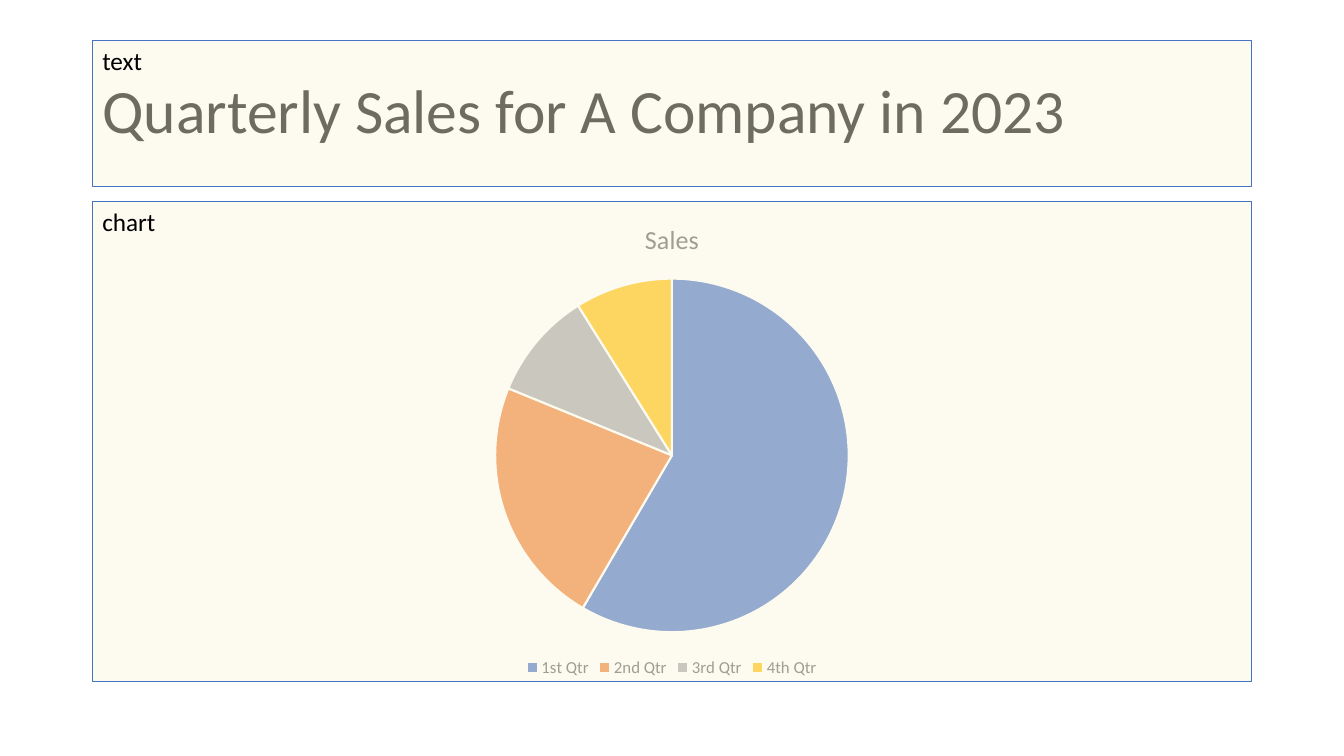
import pptx
import pptx.util
import pptx.chart.data
import pptx.dml.color
import pptx.enum.chart
import pptx.enum.shapes
import pptx.enum.text
from lxml import etree

Pt = pptx.util.Pt
FONT = "Calibri"
TITLE_BOX = (66, 28.8, 828, 104.4)
CHART_BOX = (66, 144, 828, 342.72)
SALES = {"1st Qtr": 59, "2nd Qtr": 23, "3rd Qtr": 10, "4th Qtr": 9}
SLICE_COLORS = ("4472C4", "ED7D31", "A5A5A5", "FFC000")


def rgb(value):
    """Turn a hex string into a colour."""
    return pptx.dml.color.RGBColor.from_string(value)


def set_font(font, size, color="000000"):
    """Format a font."""
    font.name, font.size, font.bold = FONT, Pt(size), False
    font.color.rgb = rgb(color)


def write(tf, text, size=18, color="000000", anchor="TOP", spacing=1.0):
    """Write one left-aligned paragraph into a text frame."""
    tf.word_wrap = True
    tf.auto_size = pptx.enum.text.MSO_AUTO_SIZE.NONE
    tf.vertical_anchor = pptx.enum.text.MSO_ANCHOR[anchor]
    p = tf.paragraphs[0]
    p.alignment = pptx.enum.text.PP_ALIGN.LEFT
    p.line_spacing = spacing
    r = p.add_run()
    r.text = text
    set_font(r.font, size, color)


def add_overlay(s, box, label):
    """Cover a box with a translucent, labelled panel."""
    sp = s.shapes.add_shape(pptx.enum.shapes.MSO_SHAPE.RECTANGLE, *map(Pt, box))
    sp.shadow.inherit = False
    sp.fill.solid()
    sp.fill.fore_color.rgb = rgb("FBF4DE")
    ns = pptx.oxml.ns.qn
    clr = sp.fill._xPr.find(ns("a:solidFill")).find(ns("a:srgbClr"))
    etree.SubElement(clr, ns("a:alpha"), val="44000")
    sp.line.color.rgb = rgb("4472C4")
    sp.line.width = Pt(0.5)
    write(sp.text_frame, label)


def add_title(s, box):
    """Place the slide title in a box."""
    sp = s.shapes.title
    sp.left, sp.top, sp.width, sp.height = map(Pt, box)
    write(sp.text_frame, "Quarterly Sales for A Company in 2023",
          size=44, anchor="MIDDLE", spacing=0.9)


def add_sales_chart(s, box):
    """Place the pie chart of quarterly sales in a box."""
    data = pptx.chart.data.CategoryChartData()
    data.categories = list(SALES)
    data.add_series("Sales", list(SALES.values()))
    chart = s.shapes.add_chart(
        pptx.enum.chart.XL_CHART_TYPE.PIE, *map(Pt, box), data).chart
    set_font(chart.font, 10)
    chart.has_title = True
    tf = chart.chart_title.text_frame
    tf.text = "Sales"
    set_font(tf.paragraphs[0].runs[0].font, 18.6, "595959")
    chart.has_legend = True
    chart.legend.position = pptx.enum.chart.XL_LEGEND_POSITION.BOTTOM
    chart.legend.include_in_layout = False
    set_font(chart.legend.font, 12, "595959")
    plot = chart.plots[0]
    plot.vary_by_categories = True
    for i, color in enumerate(SLICE_COLORS):
        fmt = plot.series[0].points[i].format
        fmt.fill.solid()
        fmt.fill.fore_color.rgb = rgb(color)
        fmt.line.color.rgb = rgb("FFFFFF")
        fmt.line.width = Pt(1.5)


def build_slide(prs):
    """Build the title and chart regions, then their overlays."""
    s = prs.slides.add_slide(prs.slide_layouts.get_by_name("Title Only"))
    add_title(s, TITLE_BOX)
    add_sales_chart(s, CHART_BOX)
    add_overlay(s, TITLE_BOX, "text")
    add_overlay(s, CHART_BOX, "chart")


prs = pptx.Presentation()
prs.slide_width, prs.slide_height = Pt(960), Pt(540)
build_slide(prs)
prs.save("out.pptx")
